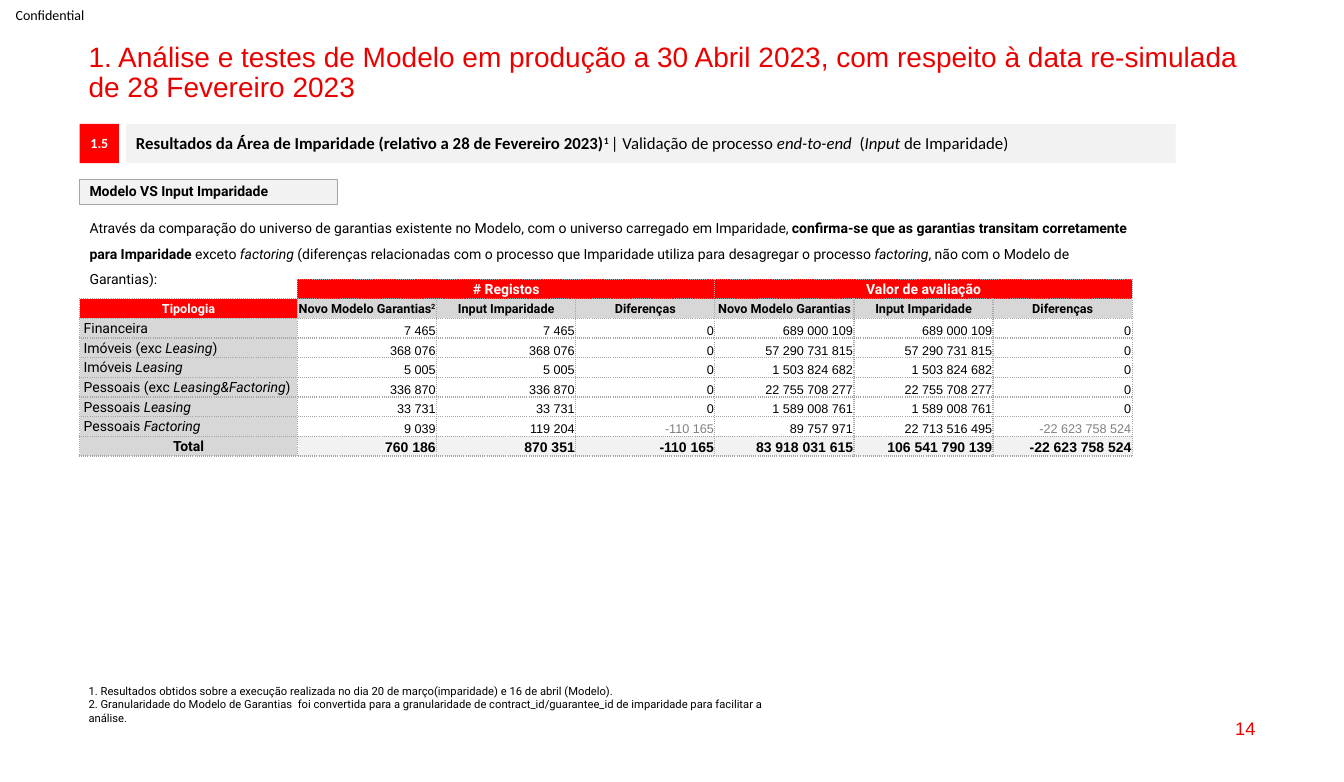
from lxml.etree import SubElement
from pptx import Presentation
from pptx.dml.color import RGBColor
from pptx.enum.shapes import MSO_SHAPE
from pptx.enum.text import MSO_ANCHOR, PP_ALIGN
from pptx.oxml.ns import qn
from pptx.util import Pt

PX = 4572
RED, BLACK, WHITE = "FF0000", "000000", "FFFFFF"
PALE, GREY, MUTED, RULE = "F2F2F2", "D7D7D7", "808080", "A6A6A6"
BOLD, ITALIC = {"bold": True}, {"italic": True}
LEFT, CENTER, RIGHT = PP_ALIGN.LEFT, PP_ALIGN.CENTER, PP_ALIGN.RIGHT
MIDDLE, BOTTOM = MSO_ANCHOR.MIDDLE, MSO_ANCHOR.BOTTOM

LABEL_W, VALUE_W, ROW_H = 432, 276, 39
GROUPS = ["# Registos", "Valor de avaliação"]
HEADERS = [[("Novo Modelo Garantias", {}), ("2", {"baseline": 30000})],
           "Input Imparidade", "Diferenças",
           "Novo Modelo Garantias", "Input Imparidade", "Diferenças"]
ROWS = [
    ("Financeira", "7 465", "7 465", "0", "689 000 109", "689 000 109", "0"),
    ([("Imóveis (exc ", {}), ("Leasing", ITALIC), (")", {})],
     "368 076", "368 076", "0", "57 290 731 815", "57 290 731 815", "0"),
    ([("Imóveis ", {}), ("Leasing", ITALIC)],
     "5 005", "5 005", "0", "1 503 824 682", "1 503 824 682", "0"),
    ([("Pessoais (exc ", {}), ("Leasing&Factoring", ITALIC), (")", {})],
     "336 870", "336 870", "0", "22 755 708 277", "22 755 708 277", "0"),
    ([("Pessoais ", {}), ("Leasing", ITALIC)],
     "33 731", "33 731", "0", "1 589 008 761", "1 589 008 761", "0"),
    ([("Pessoais ", {}), ("Factoring", ITALIC)],
     "9 039", "119 204", "-110 165", "89 757 971", "22 713 516 495", "-22 623 758 524"),
]
TOTAL = ("760 186", "870 351", "-110 165", "83 918 031 615", "106 541 790 139",
         "-22 623 758 524")


def px(*lengths):
    """Turn px lengths into EMU."""
    return [n * PX for n in lengths]


def rgb(color):
    """Turn a hex string into a colour."""
    return RGBColor.from_string(color)


def write(tf, paragraphs, size, name, color=BLACK, align=LEFT, spacing=None, **base):
    """Fill a text frame with paragraphs, each a string or a list of runs."""
    for i, runs in enumerate(paragraphs):
        p = tf.add_paragraph() if i else tf.paragraphs[0]
        p.alignment = align
        if spacing:
            p.line_spacing = spacing
        for text, extra in [(runs, {})] if isinstance(runs, str) else runs:
            r = p.add_run()
            r.text = text
            r.font.color.rgb = rgb(color)
            values = {"size": Pt(size), "name": name, **base, **extra}
            baseline = values.pop("baseline", None)
            for key, value in values.items():
                setattr(r.font, key, value)
            if baseline:
                r.font._element.set("baseline", str(baseline))


def add_text(s, box, paragraphs, size, name, anchor=MSO_ANCHOR.TOP, inset=20, **fmt):
    """Place a wrapped text box."""
    tf = s.shapes.add_textbox(*px(*box)).text_frame
    tf.word_wrap = True
    tf.vertical_anchor = anchor
    for side in ("left", "right"):
        setattr(tf, f"margin_{side}", inset * PX)
    for side in ("top", "bottom"):
        setattr(tf, f"margin_{side}", inset // 2 * PX)
    write(tf, paragraphs, size, name, **fmt)


def add_bar(s, box, fill, runs, size, name, line=None, **fmt):
    """Place a filled rectangle with one line of text."""
    sp = s.shapes.add_shape(MSO_SHAPE.RECTANGLE, *px(*box))
    sp.shadow.inherit = False
    sp.fill.solid()
    sp.fill.fore_color.rgb = rgb(fill)
    if line:
        sp.line.color.rgb = rgb(line)
        sp.line.width = Pt(0.75)
    else:
        sp.line.fill.background()
    sp.text_frame.word_wrap = True
    sp.text_frame.vertical_anchor = MIDDLE
    write(sp.text_frame, [runs], size, name, spacing=0.9, **fmt)


def add_section(s, x, y, w, h):
    """Place the section number, its heading and the topic label."""
    add_bar(s, (x, y, h, h), RED, "1.5", 10, "Calibri",
            color=WHITE, align=CENTER, bold=True)
    heading = [("Resultados da Área de Imparidade (relativo a 28 de Fevereiro 2023)", BOLD),
               ("1 ", {"bold": True, "baseline": 30000}),
               ("| Validação de processo ", {}), ("end-to-end  ", ITALIC),
               ("(", {}), ("Input ", ITALIC), ("de Imparidade)", {})]
    add_bar(s, (x + h + 14, y, w - h - 14, h), PALE, heading, 12, "Calibri")
    add_bar(s, (x, y + 110, 512, 50), PALE, "Modelo VS Input Imparidade", 10, "Roboto",
            line=RULE, bold=True)


def set_borders(cell, sides):
    """Draw dotted rules on the named sides and none on the others."""
    tcPr = cell._tc.get_or_add_tcPr()
    for side in "LRTB":
        ln = SubElement(tcPr, qn(f"a:ln{side}"), w="12700")
        if side in sides:
            fill = SubElement(ln, qn("a:solidFill"))
            SubElement(fill, qn("a:srgbClr"), val=RULE)
            SubElement(ln, qn("a:prstDash"), val="sysDot")
        else:
            SubElement(ln, qn("a:noFill"))


def fill_cell(cell, runs, fill, size, name, anchor=MIDDLE, indent=2, **fmt):
    """Colour a table cell and write its text."""
    cell.fill.solid()
    cell.fill.fore_color.rgb = rgb(fill)
    cell.vertical_anchor = anchor
    margins = {"left": indent, "right": 2, "top": 2, "bottom": 0}
    for side, value in margins.items():
        setattr(cell, f"margin_{side}", value * PX)
    cell.text_frame.word_wrap = True
    write(cell.text_frame, [runs], size, name, **fmt)


def add_comparison(s, x, y):
    """Place the table that compares the model with the impairment input."""
    n_rows, n_cols = len(ROWS) + 3, len(HEADERS) + 1
    size = LABEL_W + VALUE_W * len(HEADERS), ROW_H * n_rows
    table = s.shapes.add_table(n_rows, n_cols, *px(x, y, *size)).table
    table.first_row = table.horz_banding = False
    for row in table.rows:
        row.height = ROW_H * PX
    for i, column in enumerate(table.columns):
        column.width = (VALUE_W if i else LABEL_W) * PX
    for cell in table.iter_cells():
        set_borders(cell, "B" if cell is table.cell(0, 0) or cell._tc is table.cell(0, 0)._tc
                    else "LRTB")

    corner = table.cell(0, 0)
    corner.fill.background()
    corner.margin_top = corner.margin_bottom = 0
    SubElement(corner.text_frame.paragraphs[0]._p, qn("a:endParaRPr"), sz="800")
    head = {"name": "Roboto", "align": CENTER, "bold": True}
    for i, group in enumerate(GROUPS):
        first = table.cell(0, 1 + 3 * i)
        first.merge(table.cell(0, 3 + 3 * i))
        fill_cell(first, group, RED, 10, color=WHITE, **head)
    fill_cell(table.cell(1, 0), "Tipologia", RED, 9, color=WHITE, **head)
    for c, header in enumerate(HEADERS, 1):
        fill_cell(table.cell(1, c), header, GREY, 9, **head)

    number = {"name": "Arial", "anchor": BOTTOM, "align": RIGHT}
    for r, (label, *values) in enumerate(ROWS, 2):
        fill_cell(table.cell(r, 0), label, GREY, 10, "Roboto", indent=8)
        for c, value in enumerate(values, 1):
            color = MUTED if value.startswith("-") else BLACK
            fill_cell(table.cell(r, c), value, WHITE, 9, color=color, **number)
    fill_cell(table.cell(n_rows - 1, 0), "Total", GREY, 10, **head)
    for c, value in enumerate(TOTAL, 1):
        fill_cell(table.cell(n_rows - 1, c), value, PALE, 10, bold=True, **number)


def add_frame(s, w):
    """Place the marking, title, footnotes and page number."""
    add_text(s, (0, 0, 198, 58), ["Confidential"], 10, "Calibri",
             anchor=MIDDLE, inset=0, align=CENTER)
    add_text(s, (156, 76, w - 312, 68),
             ["1. Análise e testes de Modelo em produção a 30 Abril 2023, com respeito à data "
              "re-simulada de 28 Fevereiro 2023"], 20, "Arial", color="EB0000", spacing=0.9)
    add_text(s, (156, 1348, 1398, 74),
             ["1. Resultados obtidos sobre a execução realizada no dia 20 de março(imparidade) "
              "e 16 de abril (Modelo).",
              "2. Granularidade do Modelo de Garantias  foi convertida para a granularidade de "
              "contract_id/guarantee_id de imparidade para facilitar a análise."], 8, "Roboto")
    add_text(s, (w - 756, 1404, 600, 82), ["14"], 13, "Arial",
             anchor=MIDDLE, color="EB0000", align=RIGHT)


def add_summary(s, x, y, w, h):
    """Place the paragraph that introduces the table."""
    runs = [("Através da comparação do universo de garantias existente no Modelo, com o "
             "universo carregado em Imparidade, ", {}),
            ("confirma-se que as garantias transitam corretamente para Imparidade ", BOLD),
            ("exceto ", {}), ("factoring ", ITALIC),
            ("(diferenças relacionadas com o processo que Imparidade utiliza para desagregar "
             "o processo ", {}),
            ("factoring", ITALIC), (", não com o Modelo de Garantias):", {})]
    add_text(s, (x, y, w, h), [runs], 10, "Roboto", spacing=1.5)


def main():
    """Build the slide and save it."""
    prs = Presentation()
    prs.slide_width, prs.slide_height = px(2666, 1552)
    s = prs.slides.add_slide(prs.slide_layouts[6])
    add_frame(s, 2666)
    add_section(s, 158, 246, 2174, 78)
    add_comparison(s, 158, 554)
    add_summary(s, 158, 410, 2100, 116)
    prs.save("out.pptx")


if __name__ == "__main__":
    main()
